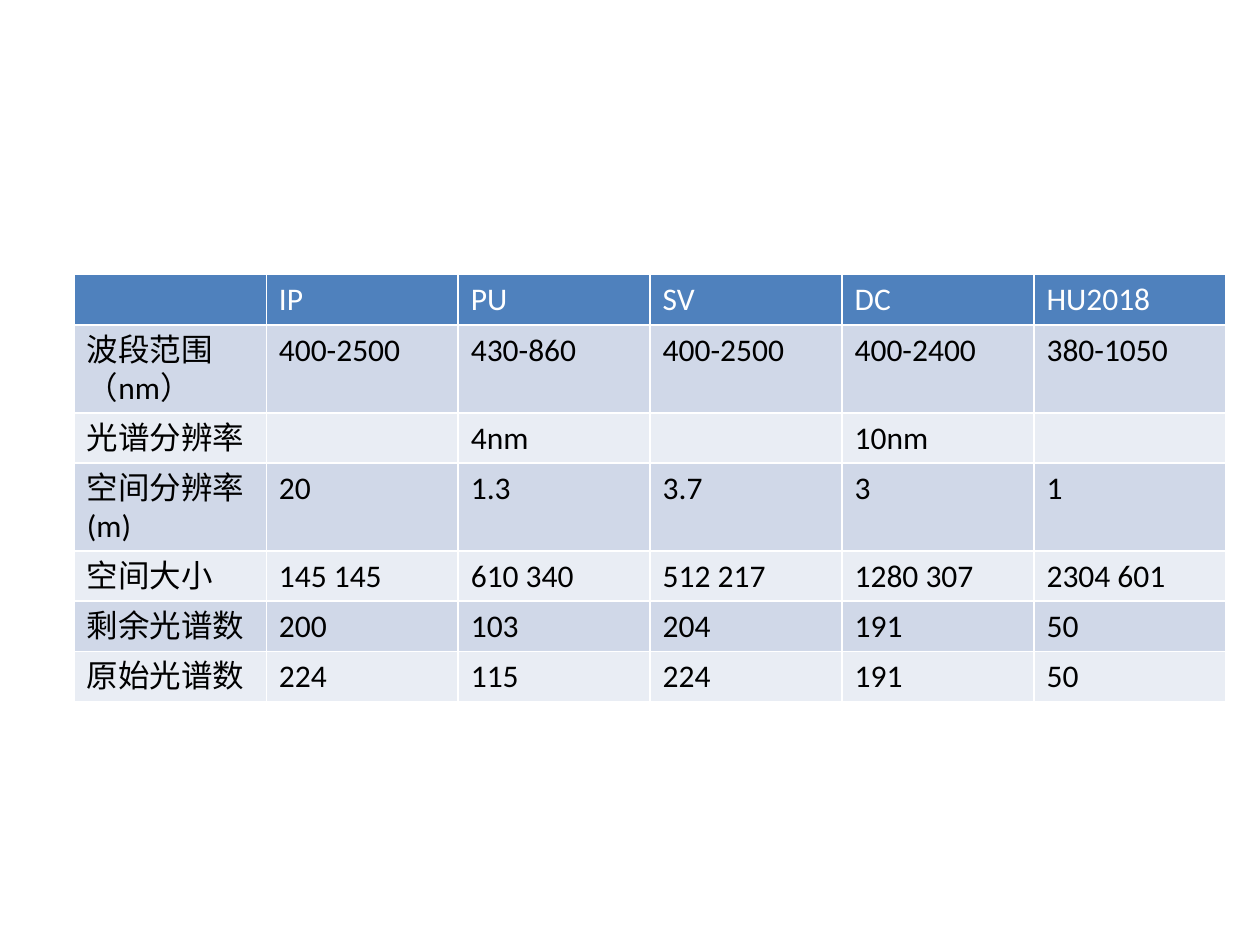
from dataclasses import dataclass

from lxml import etree
from pptx import Presentation
from pptx.dml.color import RGBColor
from pptx.oxml.ns import qn
from pptx.util import Inches, Pt

BLANK_LAYOUT = 6
SLIDE_W, SLIDE_H = Inches(10), Inches(7.5)


@dataclass(frozen=True)
class Theme:
    font: str = "Calibri"
    size: int = 18
    header_fill: str = "4F81BD"
    header_text: str = "FFFFFF"
    body_text: str = "000000"
    bands: tuple = ("D0D8E8", "E9EDF4")


THEME = Theme()

DATASETS = [
    ["", "IP", "PU", "SV", "DC", "HU2018"],
    ["波段范围（nm）", "400-2500", "430-860", "400-2500", "400-2400", "380-1050"],
    ["光谱分辨率", "", "4nm", "", "10nm", ""],
    ["空间分辨率(m)", "20", "1.3", "3.7", "3", "1"],
    ["空间大小", "145 145", "610 340", "512 217", "1280 307", "2304 601"],
    ["剩余光谱数", "200", "103", "204", "191", "50"],
    ["原始光谱数", "224", "115", "224", "191", "50"],
]
# Relative row heights: a row whose label wraps is taller.
ROW_SHARES = [4, 7, 4, 7, 4, 4, 4]


def set_east_asian_font(r, name):
    """Give Chinese text the same line height as Latin text."""
    ea = etree.Element(qn("a:ea"), typeface=name)
    r.font._element.find(qn("a:latin")).addnext(ea)


def style_cell(cell, text, fill, color):
    cell.fill.solid()
    cell.fill.fore_color.rgb = RGBColor.from_string(fill)
    cell.margin_bottom = 0
    p = cell.text_frame.paragraphs[0]
    p.text = text
    p.font.size = Pt(THEME.size)
    for r in p.runs:
        r.font.name = THEME.font
        r.font.size = Pt(THEME.size)
        r.font.bold = False
        r.font.color.rgb = RGBColor.from_string(color)
        set_east_asian_font(r, THEME.font)


def add_dataset_table(slide, left, top, width, height):
    """Fill the given box with equal columns and rows sized by ROW_SHARES."""
    n_rows, n_cols = len(DATASETS), len(DATASETS[0])
    table = slide.shapes.add_table(n_rows, n_cols, left, top, width, height).table
    for col in table.columns:
        col.width = int(width / n_cols)
    for row, share in zip(table.rows, ROW_SHARES):
        row.height = int(height * share / sum(ROW_SHARES))

    for i, values in enumerate(DATASETS):
        if i == 0:
            fill, color = THEME.header_fill, THEME.header_text
        else:
            fill, color = THEME.bands[(i - 1) % 2], THEME.body_text
        for j, text in enumerate(values):
            style_cell(table.cell(i, j), text, fill, color)


def main():
    prs = Presentation()
    prs.slide_width, prs.slide_height = SLIDE_W, SLIDE_H
    slide = prs.slides.add_slide(prs.slide_layouts[BLANK_LAYOUT])
    add_dataset_table(slide, Inches(0.59), Inches(2.18), Inches(9.14), Inches(3.39))
    prs.save("out.pptx")


if __name__ == "__main__":
    main()
